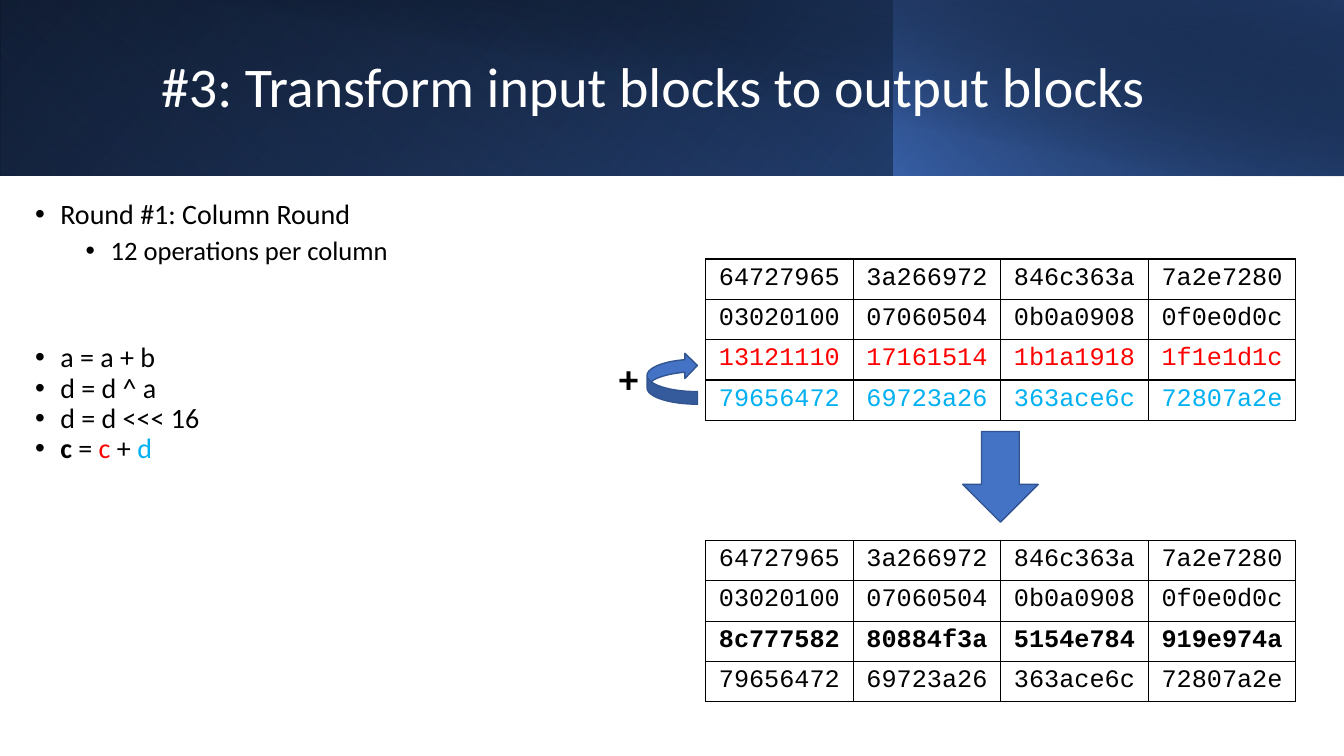
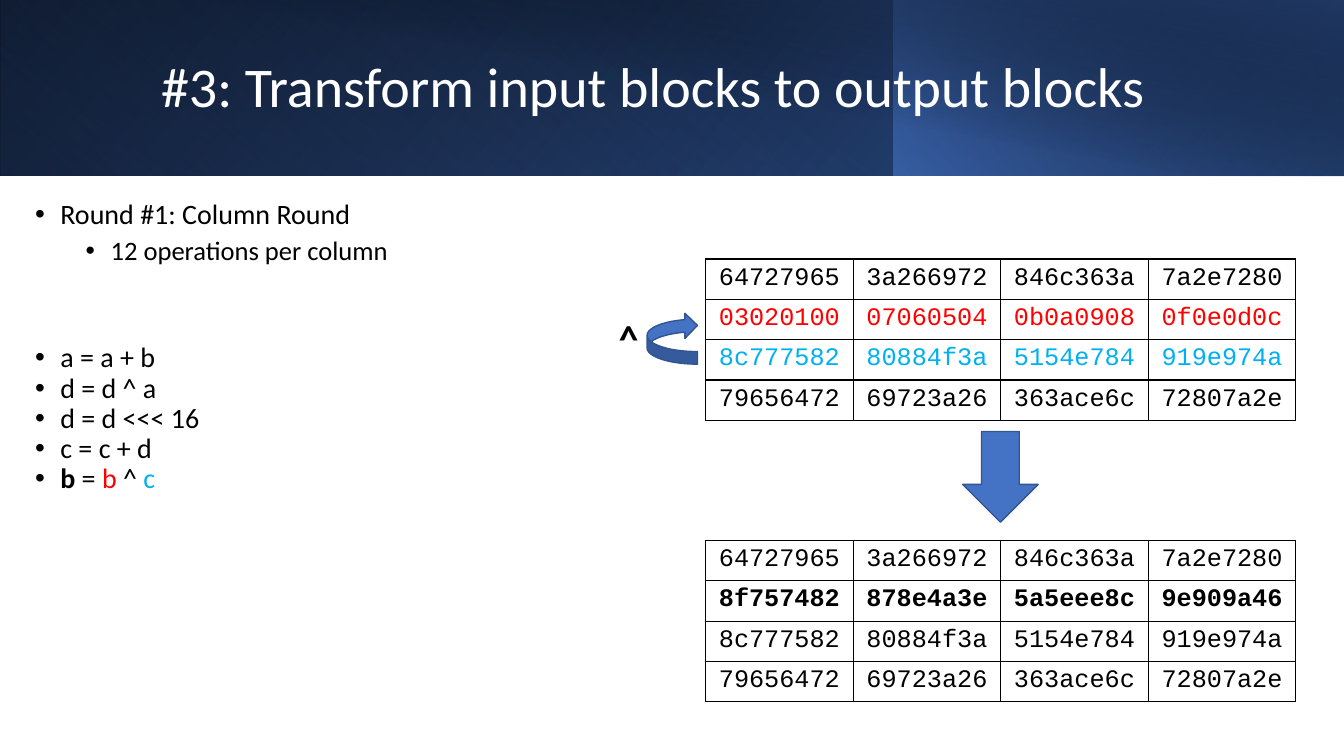
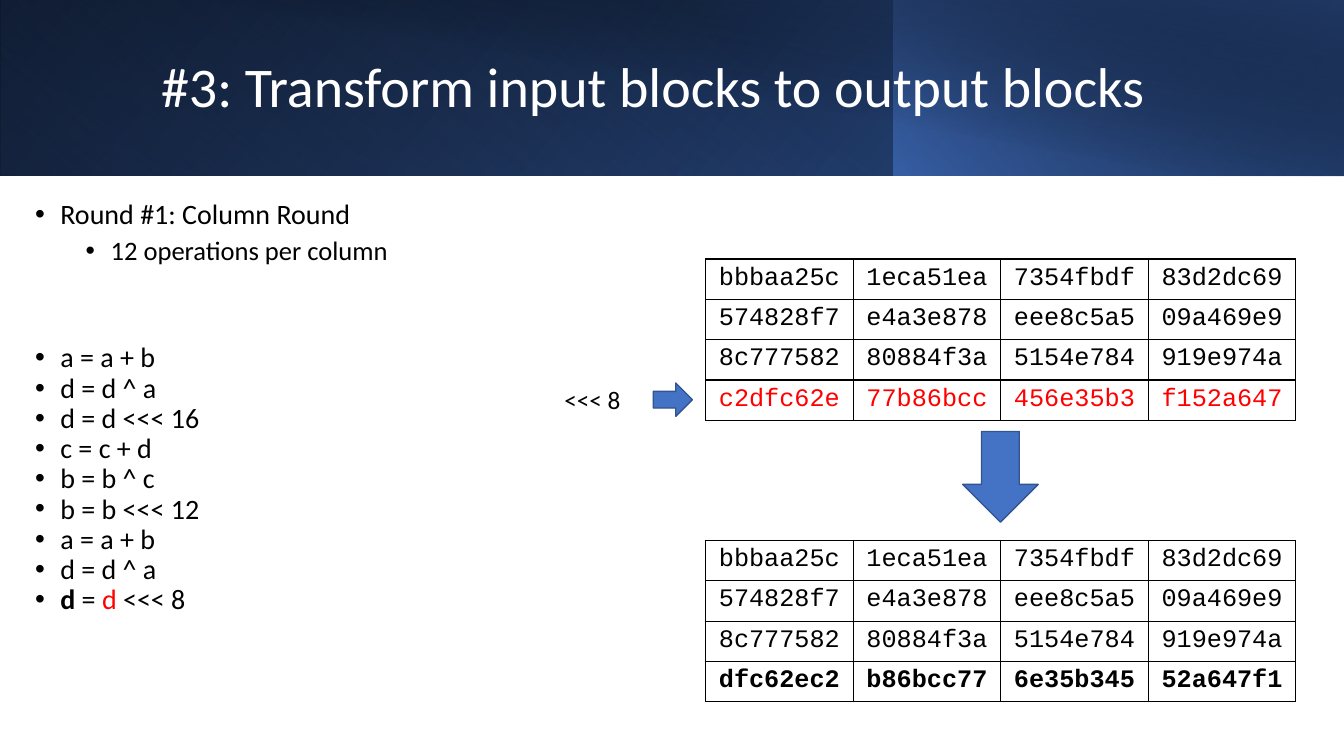
from lxml import etree
from pptx import Presentation
from pptx.dml.color import RGBColor
from pptx.enum import shapes as sh, text as tx
from pptx.oxml import ns
from pptx.util import Pt

INK = {"black": "000000", "white": "FFFFFF", "red": "FF0000", "sky": "00B0F0",
       "blue": "4472C4", "edge": "325491", "navy": "203864", "deep": "2F5597"}
TITLE = "#3: Transform input blocks to output blocks"
KIND = sh.MSO_SHAPE

# Band layers: box, turn, flip, angle, stops of (place, colour, opacity)
BANDS = [
    ((0, 0, 960, 125.3), 0, True, 140, [(0, "black", 100), (100, "deep", 100)]),
    ((0, 0, 639.4, 125.3), 180, True, 230, [(20, "blue", 0), (100, "navy", 55)]),
    ((638.6, 0, 321.4, 125.3), 0, True, 220, [(0, "blue", 66), (100, "black", 30)]),
    ((36, 0, 924, 126), 0, False, 280, [(50, "black", 0), (99, "navy", 52)]),
]
OPS = ["a = a + b", "d = d ^ a", "d = d <<< 16", "c = c + d", "b = b ^ c",
       "b = b <<< 12", "a = a + b", "d = d ^ a", "d = d <<< 8"]
# Steps: number of operations shown, block before, row after
STEPS = [
    (4, ["64727965 3a266972 846c363a 7a2e7280",
         "03020100 07060504 0b0a0908 0f0e0d0c",
         "13121110 17161514 1b1a1918 1f1e1d1c",
         "79656472 69723a26 363ace6c 72807a2e"],
     "8c777582 80884f3a 5154e784 919e974a"),
    (5, ["64727965 3a266972 846c363a 7a2e7280",
         "03020100 07060504 0b0a0908 0f0e0d0c",
         "8c777582 80884f3a 5154e784 919e974a",
         "79656472 69723a26 363ace6c 72807a2e"],
     "8f757482 878e4a3e 5a5eee8c 9e909a46"),
    (9, ["bbbaa25c 1eca51ea 7354fbdf 83d2dc69",
         "574828f7 e4a3e878 eee8c5a5 09a469e9",
         "8c777582 80884f3a 5154e784 919e974a",
         "c2dfc62e 77b86bcc 456e35b3 f152a647"],
     "dfc62ec2 b86bcc77 6e35b345 52a647f1"),
]


def write(para, runs, size, font="Calibri", left=None):
    """Add runs of (text, colour, bold); a left indent makes it a bullet."""
    for words, tint, bold in runs:
        run = para.add_run()
        run.text = words
        run.font.size, run.font.name, run.font.bold = Pt(size), font, bold
        run.font.color.rgb = RGBColor.from_string(INK[tint])
    if left is not None:
        para.line_spacing = 0.9
        props = para._p.get_or_add_pPr()
        props.set("marL", str(Pt(left)))
        props.set("indent", str(Pt(-18)))
        etree.SubElement(props, ns.qn("a:buFont")).set("typeface", "Arial")
        etree.SubElement(props, ns.qn("a:buChar")).set("char", "•")


def place(slide, kind, box):
    """Add a blue shape without shadow, or a wrapping text box if kind is None."""
    box = [Pt(v) for v in box]
    if kind is None:
        item = slide.shapes.add_textbox(*box)
        item.text_frame.word_wrap = True
        return item
    item = slide.shapes.add_shape(kind, *box)
    item.shadow.inherit = False
    item.fill.solid()
    item.fill.fore_color.rgb = RGBColor.from_string(INK["blue"])
    item.line.color.rgb = RGBColor.from_string(INK["edge"])
    item.line.width = Pt(1)
    return item


deck = Presentation()
deck.slide_width, deck.slide_height = Pt(960), Pt(540)

for count, before, after in STEPS:
    slide = deck.slides.add_slide(deck.slide_layouts[6])

    for box, turn, flip, angle, stops in BANDS:
        band = place(slide, KIND.RECTANGLE, box)
        band.line.fill.background()
        band.rotation = turn
        props = band._element.spPr
        if flip:
            props.xfrm.set("flipH", "1")
        grad = etree.Element(ns.qn("a:gradFill"))
        marks = etree.SubElement(grad, ns.qn("a:gsLst"))
        for spot, tint, alpha in stops:
            mark = etree.SubElement(marks, ns.qn("a:gs"), pos=str(spot * 1000))
            hue = etree.SubElement(mark, ns.qn("a:srgbClr"), val=INK[tint])
            etree.SubElement(hue, ns.qn("a:alpha"), val=str(alpha * 1000))
        etree.SubElement(grad, ns.qn("a:lin"), ang=str(angle * 60000), scaled="0")
        props.replace(props.find(ns.qn("a:solidFill")), grad)

    head = place(slide, None, (108, 23, 779, 81.4)).text_frame
    head.vertical_anchor = tx.MSO_ANCHOR.MIDDLE
    head.paragraphs[0].line_spacing = 0.9
    write(head.paragraphs[0], [(TITLE, "white", False)], 40)

    intro = place(slide, None, (18, 139.7, 389.5, 90.7)).text_frame
    para = intro.paragraphs[0]
    para.space_before = Pt(10)
    write(para, [("Round #1: Column Round", "black", False)], 20, left=18)
    para = intro.add_paragraph()
    para.level, para.space_before = 1, Pt(5)
    write(para, [("12 operations per column", "black", False)], 19, left=54)

    # The last operation is the current one: its target row changes
    goal, _, first, sign, second = OPS[count - 1].split()
    shift = sign == "<<<"
    row = "abcd".index(goal)
    now = [(goal, "black", True), (" = ", "black", False), (first, "red", False),
           (f" {sign} ", "black", False),
           (second, "black" if shift else "sky", False)]
    steps = place(slide, None, (18, 242, 389.5, 288)).text_frame
    for n, line in enumerate(OPS[:count]):
        para = steps.add_paragraph() if n else steps.paragraphs[0]
        runs = now if n == count - 1 else [(line, "black", False)]
        write(para, runs, 20, left=18)

    tints = {row: "red"}
    if not shift:
        tints["abcd".index(second)] = "sky"
    result = before[:row] + [after] + before[row + 1:]
    for top, block, hues, strong in ((185, before, tints, None),
                                     (386, result, {}, row)):
        grid = slide.shapes.add_table(4, 4, Pt(504), Pt(top), Pt(421.6), Pt(98)).table
        grid.first_row = grid.horz_banding = False
        for r, line in enumerate(block):
            grid.rows[r].height = Pt(24.5)
            for c, word in enumerate(line.split()):
                cell = grid.cell(r, c)
                para = cell.text_frame.paragraphs[0]
                para.alignment = tx.PP_ALIGN.CENTER
                write(para, [(word, hues.get(r, "black"), r == strong)], 18,
                      "Courier New")
                props = cell._tc.get_or_add_tcPr()
                for side in ("lnL", "lnR", "lnT", "lnB"):
                    rule = etree.SubElement(props, ns.qn("a:" + side), w=str(Pt(1)))
                    fill = etree.SubElement(rule, ns.qn("a:solidFill"))
                    etree.SubElement(fill, ns.qn("a:srgbClr"), val=INK["black"])
                cell.fill.background()

    place(slide, KIND.DOWN_ARROW, (687.6, 308.2, 54, 64.8))
    if shift:
        place(slide, KIND.RIGHT_ARROW, (466.6, 273.6, 28, 23.8))
        note = place(slide, None, (396, 270.7, 55.4, 28.8)).text_frame
        note.word_wrap = False
        write(note.paragraphs[0], [(f"{sign} {second}", "black", False)], 18)
    else:
        top = 194.8 + 28.6 * row
        loop = place(slide, KIND.CURVED_LEFT_ARROW, (462.2, top, 36, 36.7))
        loop.rotation = 180
        note = place(slide, None, (434.9, top - 2.6, 34.6, 41)).text_frame
        write(note.paragraphs[0], [(sign, "black", True)], 28)

deck.save("out.pptx")
